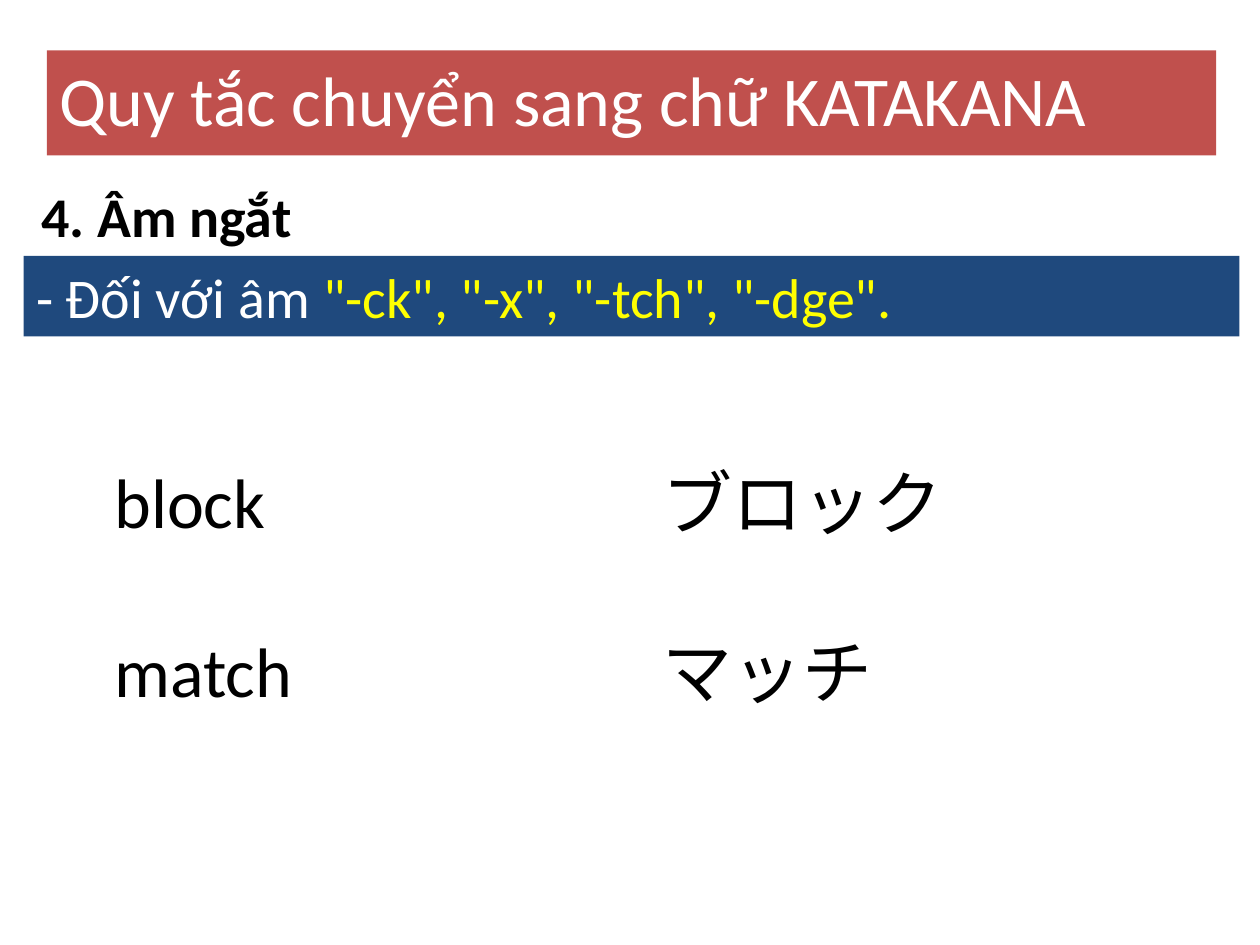
from pptx import Presentation
from pptx.dml.color import RGBColor
from pptx.enum import text
from pptx.util import Pt

WHITE, BLACK, YELLOW = "FFFFFF", "000000", "FFFF00"
RED, NAVY = "C0504D", "1F497D"

TITLE = "Quy tắc chuyển sang chữ KATAKANA"
HEADING = "4.\u00a0Âm ngắt"
RULE = [("-\u00a0Đối với\u00a0âm ", WHITE),
        ('"-ck", "-x", "-tch", "-dge".\u00a0', YELLOW)]
EXAMPLES = [("block", "ブロック"), ("match", "マッチ")]

EXAMPLE_COLUMNS = [(58.3, 258.5, 228.2), (371.5, 259.2, 311.8)]  # left, top, width
EXAMPLE_PITCH = 96.5
LARGE, MEDIUM = (40, 55.7), (32, 46.1)  # font size, box height


def color(value):
    return RGBColor.from_string(value)


def format_box(shape, left, top, width, style, runs, fill=WHITE, bold=False):
    """Place a text shape and fill it with one line of (text, colour) runs."""
    size, height = style
    shape.left, shape.top = Pt(left), Pt(top)
    shape.width, shape.height = Pt(width), Pt(height)
    shape.fill.solid()
    shape.fill.fore_color.rgb = color(fill)
    frame = shape.text_frame
    frame.word_wrap = True
    frame.auto_size = text.MSO_AUTO_SIZE.SHAPE_TO_FIT_TEXT
    frame.vertical_anchor = text.MSO_ANCHOR.TOP
    paragraph = frame.paragraphs[0]
    paragraph.alignment = text.PP_ALIGN.LEFT
    paragraph.font.name = "Calibri"
    paragraph.font.size = Pt(size)
    paragraph.font.bold = bold
    for words, run_color in runs:
        run = paragraph.add_run()
        run.text = words
        run.font.color.rgb = color(run_color)


def add_box(slide, *args, **options):
    format_box(slide.shapes.add_textbox(0, 0, 0, 0), *args, **options)


def main():
    presentation = Presentation()
    presentation.slide_width, presentation.slide_height = Pt(720), Pt(540)
    slide = presentation.slides.add_slide(presentation.slide_layouts[5])

    format_box(slide.shapes.title, 26.8, 28.8, 668.2, LARGE, [(TITLE, WHITE)], fill=RED)
    add_box(slide, 16.5, 100.1, 633.6, MEDIUM, [(HEADING, BLACK)], bold=True)
    add_box(slide, 13.5, 146.2, 694.8, MEDIUM, RULE, fill=NAVY)
    for row, example in enumerate(EXAMPLES):
        for word, (left, top, width) in zip(example, EXAMPLE_COLUMNS):
            add_box(slide, left, top + row * EXAMPLE_PITCH, width, LARGE, [(word, BLACK)])

    presentation.save("out.pptx")


if __name__ == "__main__":
    main()
